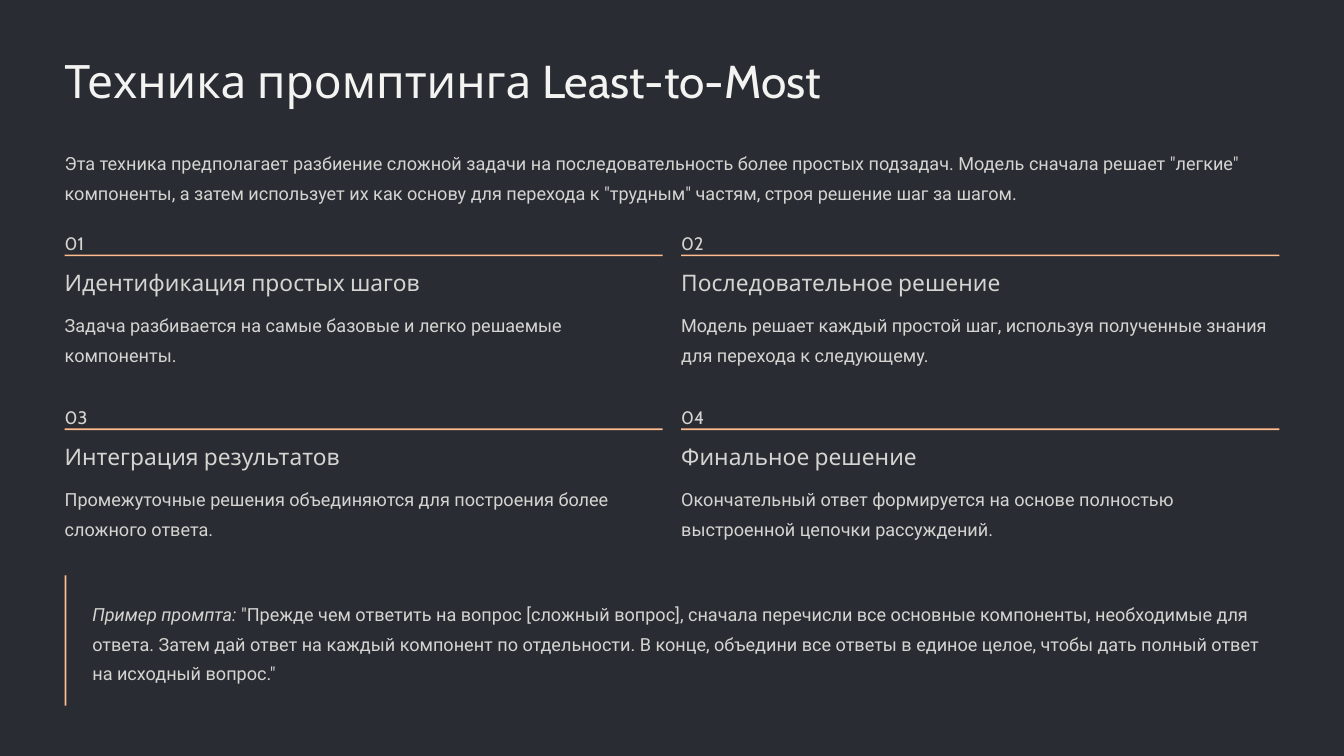
"""Builds a slide on the Least-to-Most prompting technique."""
from pptx import Presentation
from pptx.dml.color import RGBColor
from pptx.enum.shapes import MSO_SHAPE
from pptx.util import Emu, Pt

RECTANGLE = MSO_SHAPE.RECTANGLE

TITLE = "Техника промптинга Least-to-Most"
INTRO = (
    "Эта техника предполагает разбиение сложной задачи на последовательность "
    "более простых подзадач. Модель сначала решает \"легкие\" компоненты, а затем "
    "использует их как основу для перехода к \"трудным\" частям, строя решение шаг за шагом."
)
STEPS = [
    ("Идентификация простых шагов",
     "Задача разбивается на самые базовые и легко решаемые компоненты."),
    ("Последовательное решение",
     "Модель решает каждый простой шаг, используя полученные знания для перехода к следующему."),
    ("Интеграция результатов",
     "Промежуточные решения объединяются для построения более сложного ответа."),
    ("Финальное решение",
     "Окончательный ответ формируется на основе полностью выстроенной цепочки рассуждений."),
]
EXAMPLE_LABEL = "Пример промпта:"
EXAMPLE = (
    " \"Прежде чем ответить на вопрос [сложный вопрос], сначала перечисли все основные "
    "компоненты, необходимые для ответа. Затем дай ответ на каждый компонент по отдельности. "
    "В конце, объедини все ответы в единое целое, чтобы дать полный ответ на исходный вопрос.\""
)

PX = 9144
WIDTH, HEIGHT = 1600, 900
MARGIN, GAP, RULE = 77, 22, 2
CONTENT = WIDTH - 2 * MARGIN
COLUMN = (CONTENT - GAP) // 2
STEPS_TOP, STEP_PITCH = 268, 207
QUOTE_INDENT = 33

BACKGROUND, WHITE, GREY, ACCENT = "292C32", "F3F3F2", "D4D4D1", "FFBC8F"
HEADING_FONT, BODY_FONT = "Cabin", "Roboto"
BODY_SIZE, BODY_LEADING = 15.5, 25


def color(value):
    return RGBColor.from_string(value)


def px(*lengths):
    return [Emu(length * PX) for length in lengths]


def add_text(page, place, *texts, font=BODY_FONT, size=BODY_SIZE,
             leading=BODY_LEADING, ink=GREY, wrap=True):
    frame = page.shapes.add_textbox(*px(*place)).text_frame
    frame.word_wrap = wrap
    frame.margin_left = frame.margin_top = frame.margin_right = frame.margin_bottom = 0
    para = frame.paragraphs[0]
    para.line_spacing = Pt(leading)
    para.font.name = font
    para.font.size = Pt(size)
    para.font.color.rgb = color(ink)
    for text in texts:
        para.add_run().text = text
    return para


def add_block(page, place, fill=ACCENT):
    block = page.shapes.add_shape(RECTANGLE, *px(*place))
    block.shadow.inherit = False
    block.fill.solid()
    block.fill.fore_color.rgb = color(fill)
    block.line.fill.background()


def add_step(page, index, heading, body):
    row, column = divmod(index, 2)
    left = MARGIN + column * (COLUMN + GAP)
    top = STEPS_TOP + row * STEP_PITCH
    add_text(page, (left, top, 40, 27), f"{index + 1:02}", font=HEADING_FONT)
    add_block(page, (left, top + 35, COLUMN, RULE))
    add_text(page, (left, top + 51, COLUMN, 34), heading,
             font=HEADING_FONT, size=19.5, leading=24.5)
    add_text(page, (left, top + 98, COLUMN, 70), body)


def main():
    deck = Presentation()
    deck.slide_width, deck.slide_height = px(WIDTH, HEIGHT)
    page = deck.slides.add_slide(deck.slide_layouts[6])
    add_block(page, (0, 0, WIDTH, HEIGHT), BACKGROUND)

    add_text(page, (MARGIN, 60, 903, 69), TITLE,
             font=HEADING_FONT, size=39.5, leading=49, ink=WHITE, wrap=False)
    add_text(page, (MARGIN, 173, CONTENT, 70), INTRO)
    for index, (heading, body) in enumerate(STEPS):
        add_step(page, index, heading, body)

    quote = add_text(page, (MARGIN + QUOTE_INDENT, 710, CONTENT - QUOTE_INDENT, 105),
                     EXAMPLE_LABEL, EXAMPLE)
    quote.runs[0].font.italic = True
    add_block(page, (MARGIN, 685, RULE, 155))
    deck.save("out.pptx")


if __name__ == "__main__":
    main()
